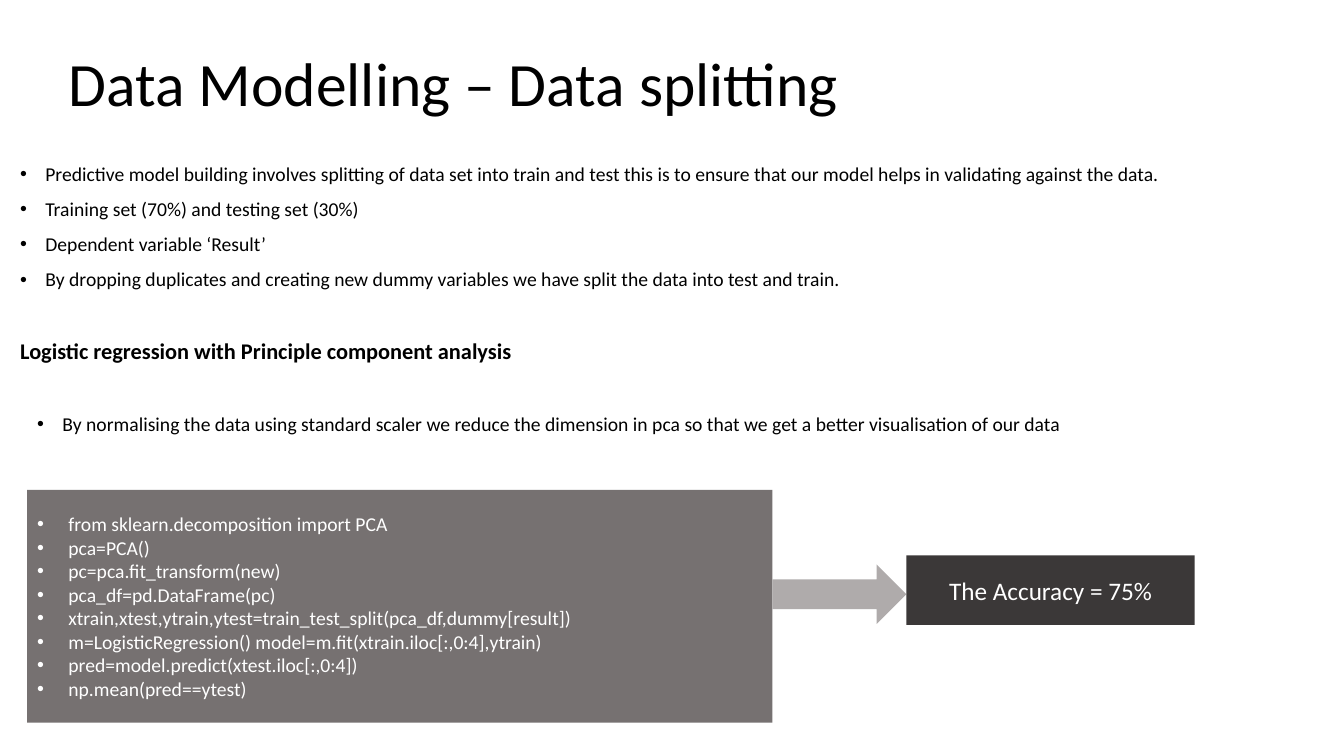
from lxml.etree import SubElement
from pptx import Presentation
from pptx.dml.color import RGBColor
from pptx.enum.shapes import MSO_SHAPE
from pptx.enum.text import MSO_ANCHOR, MSO_AUTO_SIZE, PP_ALIGN
from pptx.oxml.ns import qn
from pptx.util import Emu, Pt

PX = 9144
FONT = "Calibri"
COLORS = {
    "ink": "000000",
    "paper": "FFFFFF",
    "code": "767171",
    "arrow": "AFABAB",
    "result": "3B3838",
}
TITLE = "Data Modelling – Data splitting"
SPLITTING_POINTS = [
    "Predictive model building involves splitting of data set into train and test "
    "this is to ensure that our model helps in validating against the data.",
    "Training set (70%) and testing set (30%)",
    "Dependent variable ‘Result’",
    "By dropping duplicates and creating new dummy variables we have split the data "
    "into test and train.",
]
PCA_HEADING = "Logistic regression with Principle component analysis"
PCA_POINT = (
    "By normalising the data using standard scaler we reduce the dimension in pca "
    "so that we get a better visualisation of our data"
)
CODE_LINES = [
    "from sklearn.decomposition import PCA",
    "pca=PCA()",
    "pc=pca.fit_transform(new)",
    "pca_df=pd.DataFrame(pc)",
    "xtrain,xtest,ytrain,ytest=train_test_split(pca_df,dummy[result])",
    "m=LogisticRegression() model=m.fit(xtrain.iloc[:,0:4],ytrain)",
    "pred=model.predict(xtest.iloc[:,0:4])",
    "np.mean(pred==ytest)",
]
ACCURACY = "The Accuracy = 75%"


def px(length):
    """Turn px into EMU."""
    return Emu(length * PX)


def place(shape, box):
    """Move a shape to a box of left, top, width and height."""
    shape.left, shape.top, shape.width, shape.height = map(px, box)


def set_frame(frame, anchor):
    """Make a text frame wrap at a fixed size with the given anchor."""
    frame.word_wrap = True
    frame.auto_size = MSO_AUTO_SIZE.NONE
    frame.vertical_anchor = anchor


def set_bullet(paragraph, indent):
    """Give a paragraph a hanging bullet, or none when the indent is 0."""
    properties = paragraph._p.get_or_add_pPr()
    properties.set("marL", str(px(indent)))
    properties.set("indent", str(-px(indent)))
    if indent:
        SubElement(properties, qn("a:buFont"), typeface="Arial")
        SubElement(properties, qn("a:buChar"), char="•")
    else:
        SubElement(properties, qn("a:buNone"))


def write(frame, text, size, color="ink", bold=False, indent=0,
          align=PP_ALIGN.LEFT, before=0, spacing=1.0):
    """Write one paragraph, filling the first empty one before adding more."""
    first = frame.paragraphs[0]
    paragraph = frame.add_paragraph() if first.runs else first
    paragraph.alignment = align
    paragraph.line_spacing = spacing
    paragraph.space_before = Pt(before)
    paragraph.space_after = Pt(0)
    set_bullet(paragraph, indent)
    run = paragraph.add_run()
    run.text = text
    run.font.name = FONT
    run.font.size = Pt(size)
    run.font.bold = bold
    run.font.color.rgb = RGBColor.from_string(COLORS[color])


def add_block(slide, kind, box, fill):
    """Add a plain filled shape without line or shadow."""
    block = slide.shapes.add_shape(kind, *map(px, box))
    block.shadow.inherit = False
    block.fill.solid()
    block.fill.fore_color.rgb = RGBColor.from_string(COLORS[fill])
    block.line.fill.background()
    set_frame(block.text_frame, MSO_ANCHOR.MIDDLE)
    return block


def add_title(slide, box):
    """Fill the title placeholder."""
    title = slide.shapes.title
    place(title, box)
    set_frame(title.text_frame, MSO_ANCHOR.MIDDLE)
    write(title.text_frame, TITLE, 44, spacing=0.9)


def add_splitting(slide, box):
    """Fill the body placeholder with the splitting points and the next heading."""
    body = slide.placeholders[1]
    place(body, box)
    set_frame(body.text_frame, MSO_ANCHOR.TOP)
    for point in SPLITTING_POINTS:
        write(body.text_frame, point, 14, indent=25, before=10, spacing=0.9)
    write(body.text_frame, PCA_HEADING, 16, bold=True, before=35, spacing=0.9)


def add_pca_point(slide, box):
    """Add the bulleted remark on PCA at the foot of its box."""
    remark = slide.shapes.add_textbox(*map(px, box)).text_frame
    set_frame(remark, MSO_ANCHOR.BOTTOM)
    write(remark, PCA_POINT, 14, indent=25, spacing=0.9)


def add_code_flow(slide, box):
    """Add the code panel and the arrow leading to the accuracy."""
    left, top, width, height = box
    code_width, arrow_width, arrow_height, result_height = 739, 133, 59, 69
    arrow_left = left + code_width
    result_left = arrow_left + arrow_width
    result_width = width - code_width - arrow_width

    code = add_block(slide, MSO_SHAPE.RECTANGLE, (left, top, code_width, height), "code")
    for line in CODE_LINES:
        write(code.text_frame, line, 14, "paper", indent=31)
    add_block(slide, MSO_SHAPE.RIGHT_ARROW,
              (arrow_left, top + 74, arrow_width, arrow_height), "arrow")
    result = add_block(slide, MSO_SHAPE.RECTANGLE,
                       (result_left, top + 65, result_width, result_height), "result")
    write(result.text_frame, ACCURACY, 18, "paper", align=PP_ALIGN.CENTER)


def main():
    """Build the data splitting slide and save it."""
    deck = Presentation()
    deck.slide_width, deck.slide_height = px(1333), px(750)
    slide = deck.slides.add_slide(deck.slide_layouts[1])
    add_title(slide, (58, 13, 1150, 145))
    add_splitting(slide, (10, 158, 1323, 576))
    add_code_flow(slide, (27, 486, 1158, 231))
    add_pca_point(slide, (27, 370, 1238, 67))
    deck.save("out.pptx")


if __name__ == "__main__":
    main()
